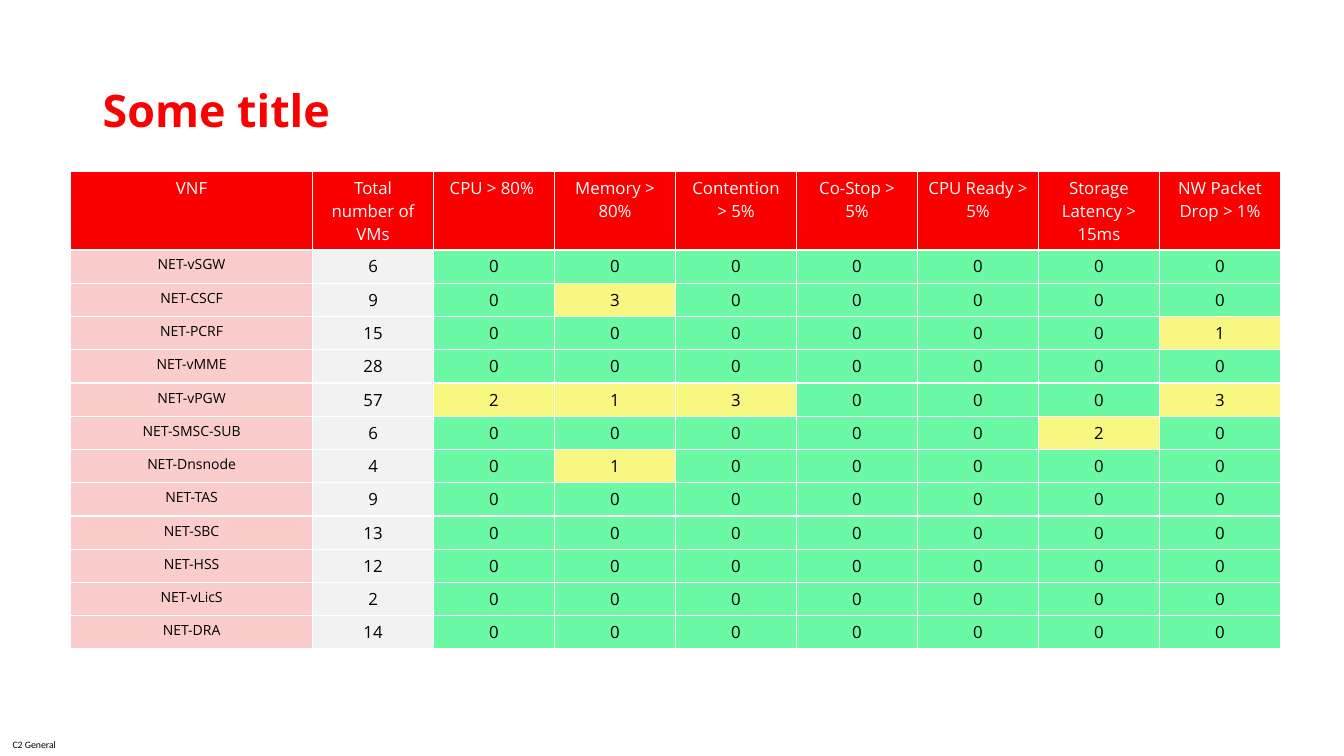
from pptx import Presentation
from pptx.dml.color import RGBColor
from pptx.enum.text import MSO_ANCHOR, PP_ALIGN
from pptx.util import Inches, Pt

CENTER = PP_ALIGN.CENTER
LEFT = PP_ALIGN.LEFT
MIDDLE = MSO_ANCHOR.MIDDLE

RED = RGBColor(0xFA, 0x00, 0x00)
PINK = RGBColor(0xFA, 0xCC, 0xCC)
GRAY = RGBColor(0xF2, 0xF2, 0xF2)
GREEN = RGBColor(0x6B, 0xF9, 0xA6)
YELLOW = RGBColor(0xF7, 0xF7, 0x81)
WHITE = RGBColor(0xFF, 0xFF, 0xFF)
BLACK = RGBColor(0x00, 0x00, 0x00)

HEADERS = ["VNF", "Total number of VMs", "CPU > 80% ", "Memory > 80%", "Contention > 5%",
           "Co-Stop > 5%", "CPU Ready > 5%", "Storage Latency > 15ms", "NW Packet Drop > 1%"]
VNF_ROWS = [
    ("NET-vSGW", 6, 0, 0, 0, 0, 0, 0, 0),
    ("NET-CSCF", 9, 0, 3, 0, 0, 0, 0, 0),
    ("NET-PCRF", 15, 0, 0, 0, 0, 0, 0, 1),
    ("NET-vMME", 28, 0, 0, 0, 0, 0, 0, 0),
    ("NET-vPGW", 57, 2, 1, 3, 0, 0, 0, 3),
    ("NET-SMSC-SUB", 6, 0, 0, 0, 0, 0, 2, 0),
    ("NET-Dnsnode", 4, 0, 1, 0, 0, 0, 0, 0),
    ("NET-TAS", 9, 0, 0, 0, 0, 0, 0, 0),
    ("NET-SBC", 13, 0, 0, 0, 0, 0, 0, 0),
    ("NET-HSS", 12, 0, 0, 0, 0, 0, 0, 0),
    ("NET-vLicS", 2, 0, 0, 0, 0, 0, 0, 0),
    ("NET-DRA", 14, 0, 0, 0, 0, 0, 0, 0),
]


def write_text(text_frame, text, font_name, size, color, alignment, bold=False):
    paragraph = text_frame.paragraphs[0]
    paragraph.text = text
    paragraph.alignment = alignment
    paragraph.font.name = font_name
    paragraph.font.size = Pt(size)
    paragraph.font.bold = bold
    paragraph.font.color.rgb = color
    return paragraph


def add_text_box(left, top, width, height):
    text_frame = slide.shapes.add_textbox(
        Inches(left), Inches(top), Inches(width), Inches(height)).text_frame
    text_frame.word_wrap = True
    text_frame.vertical_anchor = MIDDLE
    return text_frame


presentation = Presentation()
presentation.slide_width = Inches(13.33)
presentation.slide_height = Inches(7.5)
slide = presentation.slides.add_slide(presentation.slide_layouts[6])

classification = add_text_box(0, 7.27, 0.68, 0.23)
classification.margin_left = classification.margin_right = 0
classification.margin_top = classification.margin_bottom = 0
write_text(classification, "C2 General", "Calibri", 7, BLACK, CENTER)

title = add_text_box(0.92, 0.4, 11.5, 1.45)
title_paragraph = write_text(title, "Some title", "Open Sans", 32, RED, LEFT, bold=True)
title_paragraph.line_spacing = 0.9

table = slide.shapes.add_table(
    len(VNF_ROWS) + 1, len(HEADERS), Inches(0.7), Inches(1.7), Inches(12), Inches(4.7)).table
for column_index, column in enumerate(table.columns):
    column.width = Inches(2.4 if column_index == 0 else 1.2)
for row_index, row in enumerate(table.rows):
    row.height = Inches(0.78 if row_index == 0 else 0.33)

for row_index, values in enumerate([HEADERS] + VNF_ROWS):
    for column_index, value in enumerate(values):
        size, color = 12, BLACK
        if row_index == 0:
            fill, color = RED, WHITE
        elif column_index == 0:
            fill, size = PINK, 10
        elif column_index == 1:
            fill = GRAY
        else:
            fill = YELLOW if value > 0 else GREEN
        cell = table.cell(row_index, column_index)
        cell.fill.solid()
        cell.fill.fore_color.rgb = fill
        write_text(cell.text_frame, str(value), "Open Sans", size, color, CENTER)

presentation.save("out.pptx")
